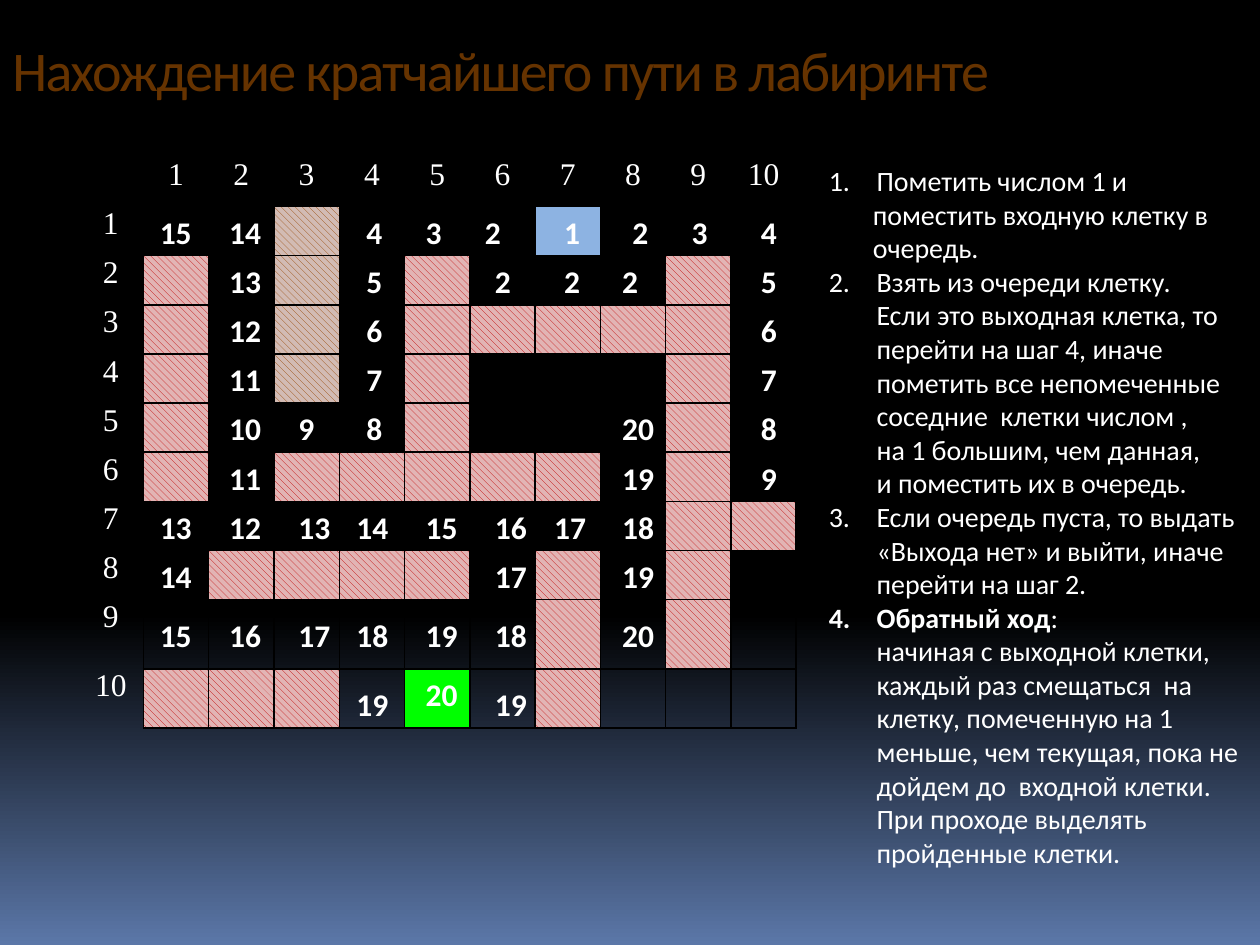
from lxml.etree import SubElement
from pptx import Presentation
from pptx.dml.color import RGBColor
from pptx.enum.dml import MSO_PATTERN_TYPE as Pattern
from pptx.enum.text import MSO_AUTO_SIZE as AutoSize, PP_ALIGN as Align
from pptx.oxml.ns import qn
from pptx.util import Inches, Pt

BLACK = RGBColor(0x00, 0x00, 0x00)
WHITE = RGBColor(0xFF, 0xFF, 0xFF)
BROWN = RGBColor(0x66, 0x33, 0x00)
STEEL = RGBColor(0x5B, 0x77, 0xA8)
START_BLUE = RGBColor(0x8D, 0xB3, 0xE2)
EXIT_GREEN = RGBColor(0x00, 0xFF, 0x00)
# Hatching: line colour, ground colour
RED_WALL = (RGBColor(0xC0, 0x00, 0x00), RGBColor(0xE2, 0xB4, 0xB4))
BROWN_WALL = (RGBColor(0x98, 0x48, 0x06), RGBColor(0xD2, 0xBB, 0xB4))

SOLID = {"S": START_BLUE, "E": EXIT_GREEN}
HATCHED = {"#": RED_WALL, "%": BROWN_WALL}
NUMBER_FORMAT = {"name": "Calibri", "size": Pt(18), "bold": True, "color": WHITE}
LABEL_FORMAT = {"name": "Times New Roman", "size": Pt(18), "color": WHITE}
STEP_FORMAT = {"name": "Calibri", "size": Pt(16), "color": WHITE}
TITLE_FORMAT = {"name": "Calibri", "size": Pt(32), "color": BROWN}


def add_run(paragraph, text, values):
    run = paragraph.add_run()
    run.text = text
    for name, value in values.items():
        if name == "color":
            run.font.color.rgb = value
        else:
            setattr(run.font, name, value)
    return run


def add_text_frame(slide, left, top, width, height, wrap=False):
    box = slide.shapes.add_textbox(Inches(left), Inches(top), Inches(width), Inches(height))
    frame = box.text_frame
    frame.word_wrap = wrap
    frame.auto_size = AutoSize.NONE if wrap else AutoSize.SHAPE_TO_FIT_TEXT
    return frame


presentation = Presentation()
presentation.slide_width = Inches(10)
presentation.slide_height = Inches(7.5)
slide = presentation.slides.add_slide(presentation.slide_layouts[6])

# Background: black down to 65 %, then fading to steel blue
background = slide.background.fill
background.gradient()
background.gradient_angle = 270
for stop, position, color in zip(background.gradient_stops, (0.65, 1), (BLACK, STEEL)):
    stop.position = position
    stop.color.rgb = color

# Title
title = add_text_frame(slide, 0, 0.23, 9, 1.03, wrap=True)
run = add_run(title.paragraphs[0], "Нахождение кратчайшего пути в лабиринте", TITLE_FORMAT)
run.font._element.set("spc", "-100")

# Maze: # and % are walls, S is the start, E is the exit
MAZE = [
    "..%...S...",
    "#.%.#...#.",
    "#.%.#####.",
    "#.%.#...#.",
    "#...#...#.",
    "#.#####.#.",
    "........##",
    ".####.#.#.",
    "......#.#.",
    "###.E.#...",
]
ROW_HEIGHTS = [0.39] * 9 + [0.55, 0.47]
frame = slide.shapes.add_table(11, 11, Inches(0.62), Inches(1.25), Inches(5.7), Inches(4.53))
table = frame.table
table.first_row = table.horz_banding = False
style_id = table._tbl.tblPr.find(qn("a:tableStyleId"))
style_id.text = "{2D5ABB26-0587-4C30-8999-92F81FD0307C}"
for column in table.columns:
    column.width = Inches(5.7 / 11)
for row, height in zip(table.rows, ROW_HEIGHTS):
    row.height = Inches(height)

for r in range(11):
    for c in range(11):
        cell = table.cell(r, c)
        cell.margin_left = cell.margin_right = Inches(0.07)
        cell.margin_top = cell.margin_bottom = 0
        if r and c:
            sides = "LRTB"
        elif r:
            sides = "R"
        else:
            sides = "B" if c else ""
        for side in sides:
            line = SubElement(cell._tc.get_or_add_tcPr(), qn("a:ln" + side), w="12700")
            fill = SubElement(line, qn("a:solidFill"))
            SubElement(fill, qn("a:srgbClr"), val=str(BLACK))

        # Row and column numbers
        if (r == 0) != (c == 0):
            paragraph = cell.text_frame.paragraphs[0]
            paragraph.alignment = Align.CENTER
            if r == 0:
                paragraph.space_before = Pt(3)
            add_run(paragraph, str(r or c), LABEL_FORMAT)

        # Walls, start and exit
        mark = MAZE[r - 1][c - 1] if r and c else "."
        if mark in HATCHED:
            cell.fill.patterned()
            cell.fill.pattern = Pattern.DOWNWARD_DIAGONAL
            cell.fill.fore_color.rgb, cell.fill.back_color.rgb = HATCHED[mark]
        elif mark in SOLID:
            cell.fill.solid()
            cell.fill.fore_color.rgb = SOLID[mark]
        else:
            cell.fill.background()

# Wave numbers over the maze, 0 where a cell has none
WAVE = [
    [15, 14, 0, 4, 3, 2, 1, 2, 3, 4],
    [0, 13, 0, 5, 0, 2, 2, 2, 0, 5],
    [0, 12, 0, 6, 0, 0, 0, 0, 0, 6],
    [0, 11, 0, 7, 0, 0, 0, 0, 0, 7],
    [0, 10, 9, 8, 0, 0, 0, 20, 0, 8],
    [0, 11, 0, 0, 0, 0, 0, 19, 0, 9],
    [13, 12, 13, 14, 15, 16, 17, 18, 0, 0],
    [14, 0, 0, 0, 0, 17, 0, 19, 0, 0],
    [15, 16, 17, 18, 19, 18, 0, 20, 0, 0],
    [0, 0, 0, 19, 20, 19, 0, 0, 0, 0],
]
LEFTS = [1.17, 1.72, 2.27, 2.73, 3.28, 3.83, 4.3, 4.84, 5.39, 5.94]
TOPS = [1.64 + 0.39 * r for r in range(8)] + [4.84, 5.39]
NUDGES = {(0, 5): (-0.08, 0), (0, 7): (0.08, 0), (9, 4): (0, -0.08)}
for r, numbers in enumerate(WAVE):
    for c, number in enumerate(numbers):
        if not number:
            continue
        one_digit = number < 10
        default = (0.08 if one_digit and c in (3, 6) else 0, 0)
        dx, dy = NUDGES.get((r, c), default)
        width = 0.33 if one_digit else 0.46
        frame = add_text_frame(slide, LEFTS[c] + dx, TOPS[r] + dy, width, 0.4)
        add_run(frame.paragraphs[0], str(number), NUMBER_FORMAT)

# Steps of the algorithm: numbered first line, then indented lines
STEPS = [
    ["Пометить числом 1 и", "поместить входную клетку в", "очередь."],
    ["Взять из очереди клетку.", "Если это выходная клетка, то", "перейти на шаг 4, иначе",
     "пометить все непомеченные", "соседние  клетки числом ,", "на 1 большим, чем данная,",
     "и поместить их в очередь."],
    ["Если очередь пуста, то выдать", "«Выхода нет» и выйти, иначе", "перейти на шаг 2."],
    ["Обратный ход:", "начиная с выходной клетки,", "каждый раз смещаться  на",
     "клетку, помеченную на 1", "меньше, чем текущая, пока не", "дойдем до  входной клетки.",
     "При проходе выделять", "пройденные клетки."],
]
frame = add_text_frame(slide, 6.48, 1.25, 3.54, 5.76)
paragraph = frame.paragraphs[0]
for step, lines in enumerate(STEPS, start=1):
    for position, text in enumerate(lines):
        if step > 1 or position:
            paragraph = frame.add_paragraph()
        properties = paragraph._p.get_or_add_pPr()
        first = position == 0
        margin = 0.38 if first or step > 1 else 0.35
        properties.set("marL", str(Inches(margin)))
        properties.set("indent", str(Inches(-0.38 if first else 0)))
        if first:
            SubElement(properties, qn("a:buFont"), typeface="+mj-lt")
            SubElement(properties, qn("a:buAutoNum"), type="arabicPeriod", startAt=str(step))
        if text.endswith(":"):
            add_run(paragraph, text[:-1], STEP_FORMAT | {"bold": True})
            text = ":"
        add_run(paragraph, text, STEP_FORMAT)

presentation.save("out.pptx")
